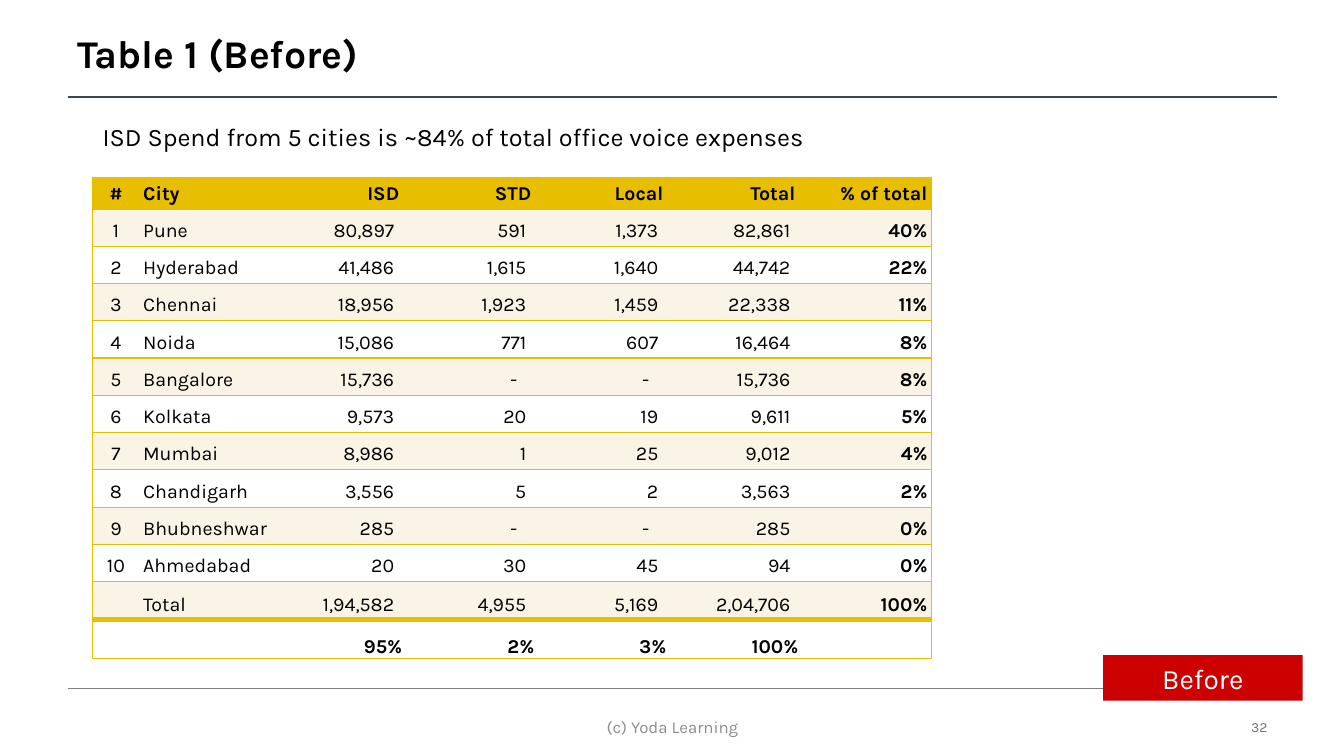
"""Builds a slide with a table of voice expenses by city."""
import pptx
import pptx.chart.data
import pptx.dml.color
import pptx.enum.shapes
import pptx.enum.text
import pptx.oxml
import pptx.util
from lxml import etree

Inches = pptx.util.Inches
Pt = pptx.util.Pt
RGBColor = pptx.dml.color.RGBColor
ALIGN = pptx.enum.text.PP_ALIGN
ANCHOR = pptx.enum.text.MSO_ANCHOR

BLACK = RGBColor(0x00, 0x00, 0x00)
WHITE = RGBColor(0xFF, 0xFF, 0xFF)
GOLD = RGBColor(0xE7, 0xBE, 0x00)
CREAM = RGBColor(0xFA, 0xF4, 0xE7)
RED = RGBColor(0xCC, 0x00, 0x00)
SLATE = RGBColor(0x37, 0x47, 0x4F)
GRAY = RGBColor(0x80, 0x80, 0x80)
FOOTER_GRAY = RGBColor(0x8C, 0x8C, 0x8C)
NUMBER_GRAY = RGBColor(0x73, 0x73, 0x73)
NO_GRID_STYLE = "{2D5ABB26-0587-4C30-8999-92F81FD0307C}"

ROWS = [
    ("#", "City", "ISD", "STD", "Local", "Total", "% of total"),
    ("1", "Pune", "80,897", "591", "1,373", "82,861", "40%"),
    ("2", "Hyderabad", "41,486", "1,615", "1,640", "44,742", "22%"),
    ("3", "Chennai", "18,956", "1,923", "1,459", "22,338", "11%"),
    ("4", "Noida", "15,086", "771", "607", "16,464", "8%"),
    ("5", "Bangalore", "15,736", "-", "-", "15,736", "8%"),
    ("6", "Kolkata", "9,573", "20", "19", "9,611", "5%"),
    ("7", "Mumbai", "8,986", "1", "25", "9,012", "4%"),
    ("8", "Chandigarh", "3,556", "5", "2", "3,563", "2%"),
    ("9", "Bhubneshwar", "285", "-", "-", "285", "0%"),
    ("10", "Ahmedabad", "20", "30", "45", "94", "0%"),
    ("", "Total", "1,94,582", "4,955", "5,169", "2,04,706", "100%"),
    ("", "", "95%", "2%", "3%", "100%", ""),
]
HEADER, TOTAL, SHARE = 0, 11, 12
LAST_COLUMN = 6


def write(frame, text, size, color, align=ALIGN.LEFT, bold=False):
    para = frame.paragraphs[0]
    para.text = text
    para.alignment = align
    para.font.name = "Karla"
    para.font.size = Pt(size)
    para.font.bold = bold
    para.font.color.rgb = color
    return para


def add_border(cell, side, points):
    line = etree.SubElement(cell._tc.get_or_add_tcPr(),
                            pptx.oxml.ns.qn(f"a:ln{side}"), w=str(Pt(points)))
    fill = etree.SubElement(line, pptx.oxml.ns.qn("a:solidFill"))
    etree.SubElement(fill, pptx.oxml.ns.qn("a:srgbClr"), val=str(GOLD))


deck = pptx.Presentation()
deck.slide_width = Inches(13.33)
deck.slide_height = Inches(7.5)
page = deck.slides.add_slide(deck.slide_layouts[5])

for top, color, width in ((0.96, SLATE, 1.5), (6.83, GRAY, 0.25)):
    rule = page.shapes.add_connector(pptx.enum.shapes.MSO_CONNECTOR.STRAIGHT,
                                     Inches(0.67), Inches(top), Inches(12.67), Inches(top))
    rule.line.color.rgb = color
    rule.line.width = Pt(width)
    etree.SubElement(rule._element.spPr, pptx.oxml.ns.qn("a:effectLst"))

title = page.shapes.title
title.left, title.top = Inches(0.67), Inches(0.22)
title.width, title.height = Inches(12), Inches(0.67)
title.text_frame.vertical_anchor = ANCHOR.MIDDLE
title.text_frame.auto_size = pptx.enum.text.MSO_AUTO_SIZE.NONE
write(title.text_frame, "Table 1 (Before)", 28, BLACK, bold=True).line_spacing = 0.9

for text, left, top, width, height, size, color, align, anchor in (
    ("ISD Spend from 5 cities is ~84% of total office voice expenses",
     0.92, 1.15, 9.79, 0.4, 18, BLACK, ALIGN.LEFT, ANCHOR.TOP),
    ("(c) Yoda Learning", 4.42, 7.08, 4.5, 0.27, 12, FOOTER_GRAY, ALIGN.CENTER, ANCHOR.MIDDLE),
    ("32", 9.67, 7.08, 3, 0.27, 10, NUMBER_GRAY, ALIGN.RIGHT, ANCHOR.MIDDLE),
):
    box = page.shapes.add_textbox(Inches(left), Inches(top), Inches(width), Inches(height))
    box.text_frame.word_wrap = True
    box.text_frame.vertical_anchor = anchor
    write(box.text_frame, text, size, color, align)

table = page.shapes.add_table(len(ROWS), LAST_COLUMN + 1, Inches(0.92), Inches(1.76),
                              Inches(8.33), Inches(4.75)).table
table._tbl.tblPr.find(pptx.oxml.ns.qn("a:tableStyleId")).text = NO_GRID_STYLE
table.first_row = True
table.horz_banding = False
for index, column in enumerate(table.columns):
    column.width = Inches(1.31 if index else 0.46)

for row, values in enumerate(ROWS):
    table.rows[row].height = Inches(0.37 if row else 0.3)
    for column, value in enumerate(values):
        cell = table.cell(row, column)
        if column == 0:
            add_border(cell, "L", 1)
        if column == LAST_COLUMN:
            add_border(cell, "R", 1)
        add_border(cell, "T", 4 if row == SHARE else 1)
        add_border(cell, "B", 4 if row == TOTAL else 1)
        cell.fill.solid()
        cell.fill.fore_color.rgb = GOLD if row == HEADER else CREAM if row % 2 else WHITE

        margin = 0.01 if row == SHARE and value else 0.04
        cell.margin_left = cell.margin_top = cell.margin_right = Inches(margin)
        cell.margin_bottom = Inches(0 if margin == 0.01 else margin)
        if HEADER < row < SHARE and 1 < column < LAST_COLUMN:
            cell.margin_right = Inches(0.18 if value == "-" else 0.09)
        cell.vertical_anchor = ANCHOR.BOTTOM
        if value:
            align = (ALIGN.CENTER, ALIGN.LEFT)[column] if column < 2 else ALIGN.RIGHT
            write(cell.text_frame, value, 14, BLACK, align,
                  row in (HEADER, SHARE) or column == LAST_COLUMN)

tag = page.shapes.add_shape(pptx.enum.shapes.MSO_SHAPE.RECTANGLE,
                            Inches(10.94), Inches(6.5), Inches(1.98), Inches(0.45))
tag.shadow.inherit = False
tag.fill.solid()
tag.fill.fore_color.rgb = RED
tag.line.fill.background()
tag.text_frame.vertical_anchor = ANCHOR.MIDDLE
write(tag.text_frame, "Before", 20, WHITE, ALIGN.CENTER)

deck.save("out.pptx")
